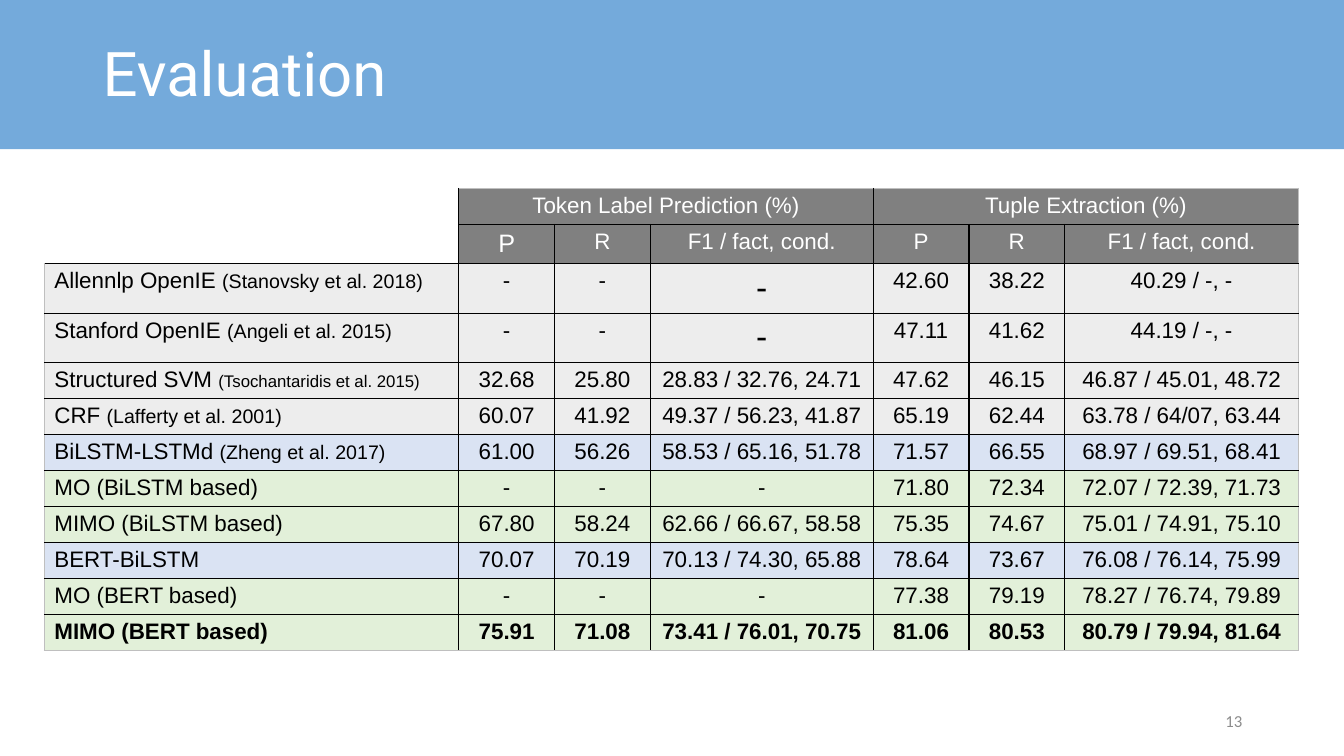
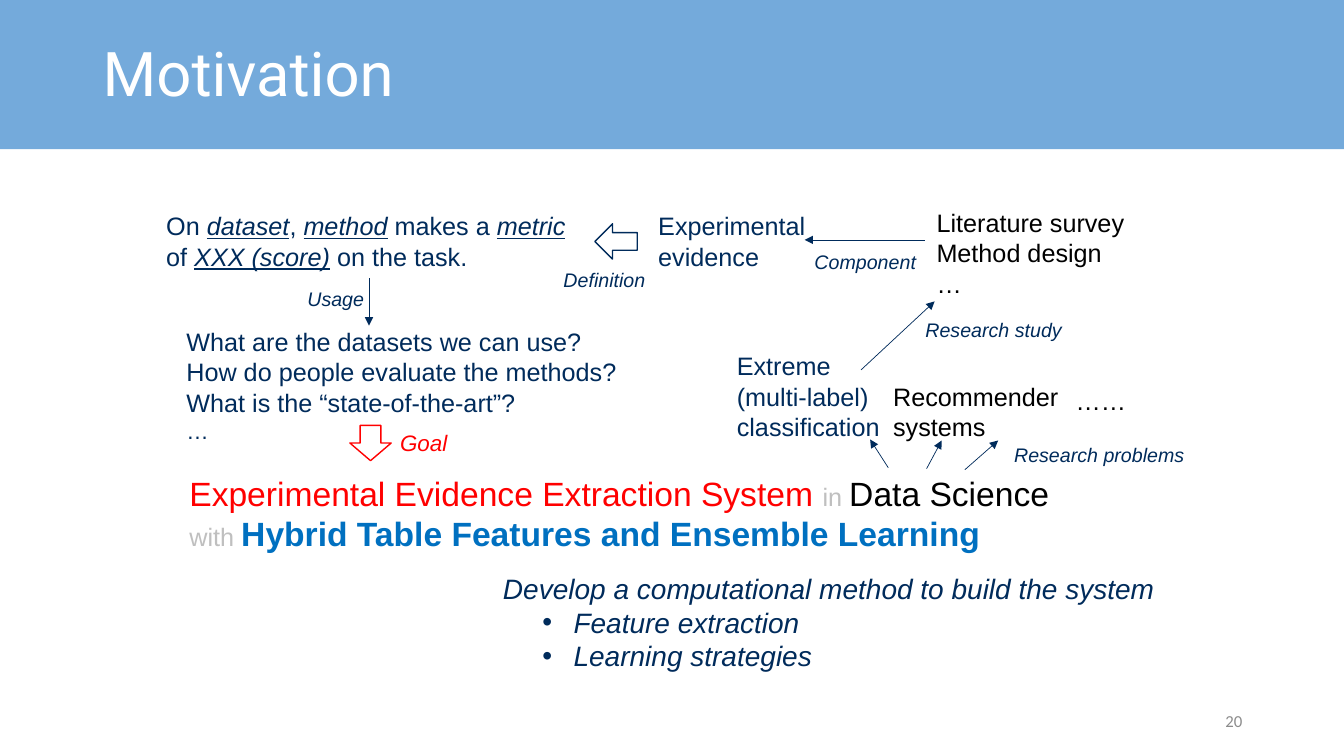
from dataclasses import dataclass

from lxml import etree
from pptx import Presentation
from pptx.dml.color import RGBColor
from pptx.enum.shapes import MSO_CONNECTOR, MSO_SHAPE
from pptx.enum.text import MSO_ANCHOR, PP_ALIGN
from pptx.oxml.ns import qn
from pptx.util import Emu, Pt

PX = 9144  # 100 px to the inch
RECTANGLE, LEFT_ARROW, DOWN_ARROW = MSO_SHAPE.RECTANGLE, MSO_SHAPE.LEFT_ARROW, MSO_SHAPE.DOWN_ARROW
STRAIGHT = MSO_CONNECTOR.STRAIGHT
LEFT, CENTER, RIGHT = PP_ALIGN.LEFT, PP_ALIGN.CENTER, PP_ALIGN.RIGHT
TOP, MIDDLE = MSO_ANCHOR.TOP, MSO_ANCHOR.MIDDLE
NO_TABLE_STYLE = "{2D5ABB26-0587-4C30-8999-92F81FD0307C}"


@dataclass(frozen=True)
class Theme:
    band: str = "74AADB"
    white: str = "FFFFFF"
    black: str = "000000"
    navy: str = "002B5B"
    red: str = "FF0000"
    blue: str = "0070C0"
    pale: str = "BFBFBF"
    number: str = "8C8C8C"
    header: str = "808080"
    gray_row: str = "EDEDED"
    blue_row: str = "DAE3F3"
    green_row: str = "E2F0D9"
    body_font: str = "Arial"
    title_font: str = "Roboto"
    number_font: str = "Calibri"
    title: int = 44
    goal: int = 24
    method: int = 20
    body: int = 18
    cell: int = 16
    label: int = 14
    small: int = 12


THEME = Theme()

# Content: results table
COLUMNS = [411, 95, 95, 221, 95, 95, 232]
ROWS = [35, 38, 47, 47] + [35] * 8
BIG_DASH = ("-", {"size": THEME.goal})
GROUPS = ["", "Token Label Prediction (%)", "", "", "Tuple Extraction (%)", "", ""]
MEASURES = ["", ("P", {"size": THEME.body}), "R", "F1 / fact, cond.", "P", "R", "F1 / fact, cond."]
# Each result: row colour, method, citation, citation size, values
RESULTS = [
    (THEME.gray_row, "Allennlp OpenIE", "(Stanovsky et al. 2018)", THEME.label,
     ["-", "-", BIG_DASH, "42.60", "38.22", "40.29 / -, -"]),
    (THEME.gray_row, "Stanford OpenIE", "(Angeli et al. 2015)", THEME.label,
     ["-", "-", BIG_DASH, "47.11", "41.62", "44.19 / -, -"]),
    (THEME.gray_row, "Structured SVM", "(Tsochantaridis et al. 2015)", THEME.small,
     ["32.68", "25.80", "28.83 / 32.76, 24.71", "47.62", "46.15", "46.87 / 45.01, 48.72"]),
    (THEME.gray_row, "CRF", "(Lafferty et al. 2001)", THEME.label,
     ["60.07", "41.92", "49.37 / 56.23, 41.87", "65.19", "62.44", "63.78 / 64/07, 63.44"]),
    (THEME.blue_row, "BiLSTM-LSTMd", "(Zheng et al. 2017)", THEME.label,
     ["61.00", "56.26", "58.53 / 65.16, 51.78", "71.57", "66.55", "68.97 / 69.51, 68.41"]),
    (THEME.green_row, "MO (BiLSTM based)", "", THEME.label,
     ["-", "-", "-", "71.80", "72.34", "72.07 / 72.39, 71.73"]),
    (THEME.green_row, "MIMO (BiLSTM based)", "", THEME.label,
     ["67.80", "58.24", "62.66 / 66.67, 58.58", "75.35", "74.67", "75.01 / 74.91, 75.10"]),
    (THEME.blue_row, "BERT-BiLSTM", "", THEME.label,
     ["70.07", "70.19", "70.13 / 74.30, 65.88", "78.64", "73.67", "76.08 / 76.14, 75.99"]),
    (THEME.green_row, "MO (BERT based)", "", THEME.label,
     ["-", "-", "-", "77.38", "79.19", "78.27 / 76.74, 79.89"]),
    (THEME.green_row, "MIMO (BERT based)", "", THEME.label,
     ["75.91", "71.08", "73.41 / 76.01, 70.75", "81.06", "80.53", "80.79 / 79.94, 81.64"]),
]

# Content: motivation diagram
TERM = {"italic": True, "underline": True}
FAINT = {"size": THEME.body, "color": THEME.pale}
NAVY = {"color": THEME.navy}
LABEL = {"color": THEME.navy, "size": THEME.label, "italic": True}
BULLET = {"bullet": True}
# Each note: place, paragraphs of spans, format
NOTES = [
    ((178, 464, 932, 91),
     [[("Experimental Evidence Extraction System ", {"color": THEME.red}), ("in ", FAINT),
       "Data Science\v", ("with ", FAINT),
       ("Hybrid Table Features and Ensemble Learning", {"color": THEME.blue, "bold": True})]],
     {"size": THEME.goal}),
    ((721, 343, 196, 101), ["Extreme", "(multi-label)", "classification"], NAVY),
    ((876, 373, 220, 71), ["Recommender", "systems"], {}),
    ((1057, 377, 83, 40), ["……"], {}),
    ((919, 201, 245, 101), ["Literature survey", "Method design", "…"], {}),
    ((643, 204, 198, 71), ["Experimental", "evidence"], NAVY),
    ((155, 204, 499, 71),
     [["On ", ("dataset", TERM), ", ", ("method", TERM), " makes a ", ("metric", TERM)],
      ["of ", ("XXX (score)", TERM), " on the task."]], NAVY),
    ((175, 319, 539, 128),
     ["What are the datasets we can use?", "How do people evaluate the methods?",
      "What is the “state-of-the-art”?", [("…", {"size": THEME.cell})]], NAVY),
    ((387, 421, 254, 37), ["Goal"], {"size": THEME.cell, "color": THEME.red, "italic": True}),
    ((996, 434, 223, 34), ["Research problems"], LABEL),
    ((908, 310, 183, 34), ["Research study"], LABEL),
    ((549, 261, 121, 34), ["Definition"], LABEL),
    ((295, 280, 89, 34), ["Usage"], LABEL),
    ((798, 243, 146, 34), ["Component"], LABEL),
]
METHOD_PLACE = (489, 562, 704, 111)
METHOD = "Develop a computational method to build the system"
METHOD_STEPS = ["Feature extraction", "Learning strategies"]
ARROWS = [
    ((881, 464), (863, 436)),
    ((919, 465), (934, 437)),
    ((957, 466), (990, 437)),
    ((917, 238), (798, 238)),
    ((854, 367), (927, 299)),
    ((366, 276), (366, 323)),
]
BLOCK_ARROWS = [
    (LEFT_ARROW, (590, 222, 42, 35), THEME.navy),
    (DOWN_ARROW, (347, 422, 41, 35), THEME.red),
]


def scaled(place):
    return [Emu(length * PX) for length in place]


def rgb(color):
    return RGBColor.from_string(color)


def add_bullet(para):
    properties = para._p.get_or_add_pPr()
    properties.set("marL", str(70 * PX))
    properties.set("indent", str(-31 * PX))
    etree.SubElement(properties, qn("a:buFont")).set("typeface", "Arial")
    etree.SubElement(properties, qn("a:buChar")).set("char", "•")


def write(frame, paragraphs, size=THEME.body, color=THEME.black, font=THEME.body_font,
          bold=False, italic=False, align=LEFT, spacing=None, bullets_from=None):
    """Fill a text frame; a paragraph is a string or a list of spans."""
    for index, spans in enumerate(paragraphs):
        para = frame.paragraphs[0] if index == 0 else frame.add_paragraph()
        para.alignment = align
        if spacing:
            para.line_spacing = spacing
        if bullets_from is not None and index >= bullets_from:
            add_bullet(para)
        for item in [spans] if isinstance(spans, str) else spans:
            text, changes = (item, {}) if isinstance(item, str) else item
            span = para.add_run()
            span.text = text.rstrip("\v")
            span.font.name = font
            span.font.size = Pt(changes.get("size", size))
            span.font.color.rgb = rgb(changes.get("color", color))
            span.font.bold = changes.get("bold", bold)
            span.font.italic = changes.get("italic", italic)
            span.font.underline = changes.get("underline", False)
            if text.endswith("\v"):
                para.add_line_break()


def add_text(page, place, paragraphs, anchor=TOP, **style):
    box = page.shapes.add_textbox(*scaled(place))
    box.text_frame.word_wrap = True
    box.text_frame.vertical_anchor = anchor
    write(box.text_frame, paragraphs, **style)


def add_block(page, preset, place, fill, line=None):
    block = page.shapes.add_shape(preset, *scaled(place))
    block.shadow.inherit = False
    block.fill.solid()
    block.fill.fore_color.rgb = rgb(fill)
    if line:
        block.line.color.rgb = rgb(line)
        block.line.width = Pt(1)
    else:
        block.line.fill.background()


def add_arrow(page, start, end):
    arrow = page.shapes.add_connector(STRAIGHT, *scaled(start + end))
    arrow.line.color.rgb = rgb(THEME.navy)
    arrow.line.width = Pt(0.5)
    etree.SubElement(arrow.line._get_or_add_ln(), qn("a:tailEnd")).set("type", "triangle")
    etree.SubElement(arrow._element.spPr, qn("a:effectLst"))


def add_page(deck, title, number):
    """Add a page with the shared band, title and page number."""
    page = deck.slides.add_slide(deck.slide_layouts[6])
    add_block(page, RECTANGLE, (0, 0, 1333, 148), THEME.band)
    add_text(page, (92, 3, 1150, 145), [title], anchor=MIDDLE, size=THEME.title,
             color=THEME.white, font=THEME.title_font, spacing=0.9)
    add_text(page, (942, 695, 300, 40), [number], anchor=MIDDLE, size=THEME.small,
             color=THEME.number, font=THEME.number_font, align=RIGHT)
    return page


def set_borders(cell, colors):
    """Draw left, right, top and bottom borders; None hides a side."""
    properties = cell._tc.get_or_add_tcPr()
    for index, (side, color) in enumerate(zip("LRTB", colors)):
        line = etree.Element(qn(f"a:ln{side}"), w=str(Pt(1)))
        if color:
            fill = etree.SubElement(line, qn("a:solidFill"))
            etree.SubElement(fill, qn("a:srgbClr")).set("val", color)
        else:
            etree.SubElement(line, qn("a:noFill"))
        properties.insert(index, line)


def fill_cell(cell, spans, fill, **style):
    cell.margin_top, cell.margin_bottom = scaled((5, 4))
    if spans:
        cell.fill.solid()
        cell.fill.fore_color.rgb = rgb(fill)
        write(cell.text_frame, [spans], size=THEME.cell, **style)
    else:
        cell.fill.background()


def build_evaluation(deck):
    page = add_page(deck, "Evaluation", "13")
    place = (44, 187, sum(COLUMNS), sum(ROWS))
    table = page.shapes.add_table(len(ROWS), len(COLUMNS), *scaled(place)).table
    table.first_row = table.horz_banding = False
    table._tbl.tblPr.find(qn("a:tableStyleId")).text = NO_TABLE_STYLE
    for column, width in zip(table.columns, COLUMNS):
        column.width = Emu(width * PX)
    for row, height in zip(table.rows, ROWS):
        row.height = Emu(height * PX)

    # Merged headings
    table.cell(0, 0).merge(table.cell(1, 0))
    for first in (1, 4):
        table.cell(0, first).merge(table.cell(0, first + 2))

    # Cell text and fills
    for row, headings in enumerate((GROUPS, MEASURES)):
        for column, heading in enumerate(headings):
            spans = [heading] if heading else None
            fill_cell(table.cell(row, column), spans, THEME.header,
                      color=THEME.white, align=CENTER)
    for row, (fill, method, citation, citation_size, values) in enumerate(RESULTS, start=2):
        bold = row == len(ROWS) - 1
        name = [method + " ", (citation, {"size": citation_size})] if citation else [method]
        fill_cell(table.cell(row, 0), name, fill, bold=bold)
        for column, value in enumerate(values, start=1):
            fill_cell(table.cell(row, column), [value], fill, bold=bold, align=CENTER)

    # Black inner lines, pale outer lines, open top left corner
    for row in range(len(ROWS)):
        for column in range(len(COLUMNS)):
            cell = table.cell(row, column)
            if cell.is_spanned:
                continue
            outer = None if row == column == 0 else THEME.pale
            outside = (column == 0, column + cell.span_width == len(COLUMNS),
                       row == 0, row + cell.span_height == len(ROWS))
            set_borders(cell, [outer if edge else THEME.black for edge in outside])


def build_motivation(deck):
    page = add_page(deck, "Motivation", "20")
    for place, paragraphs, style in NOTES:
        add_text(page, place, paragraphs, **style)
    add_text(page, METHOD_PLACE, [METHOD] + METHOD_STEPS, size=THEME.method,
             color=THEME.navy, italic=True, bullets_from=1)
    for start, end in ARROWS:
        add_arrow(page, start, end)
    for preset, place, line in BLOCK_ARROWS:
        add_block(page, preset, place, THEME.white, line)


def main():
    deck = Presentation()
    deck.slide_width, deck.slide_height = scaled((1333, 750))
    build_evaluation(deck)
    build_motivation(deck)
    deck.save("out.pptx")


if __name__ == "__main__":
    main()
